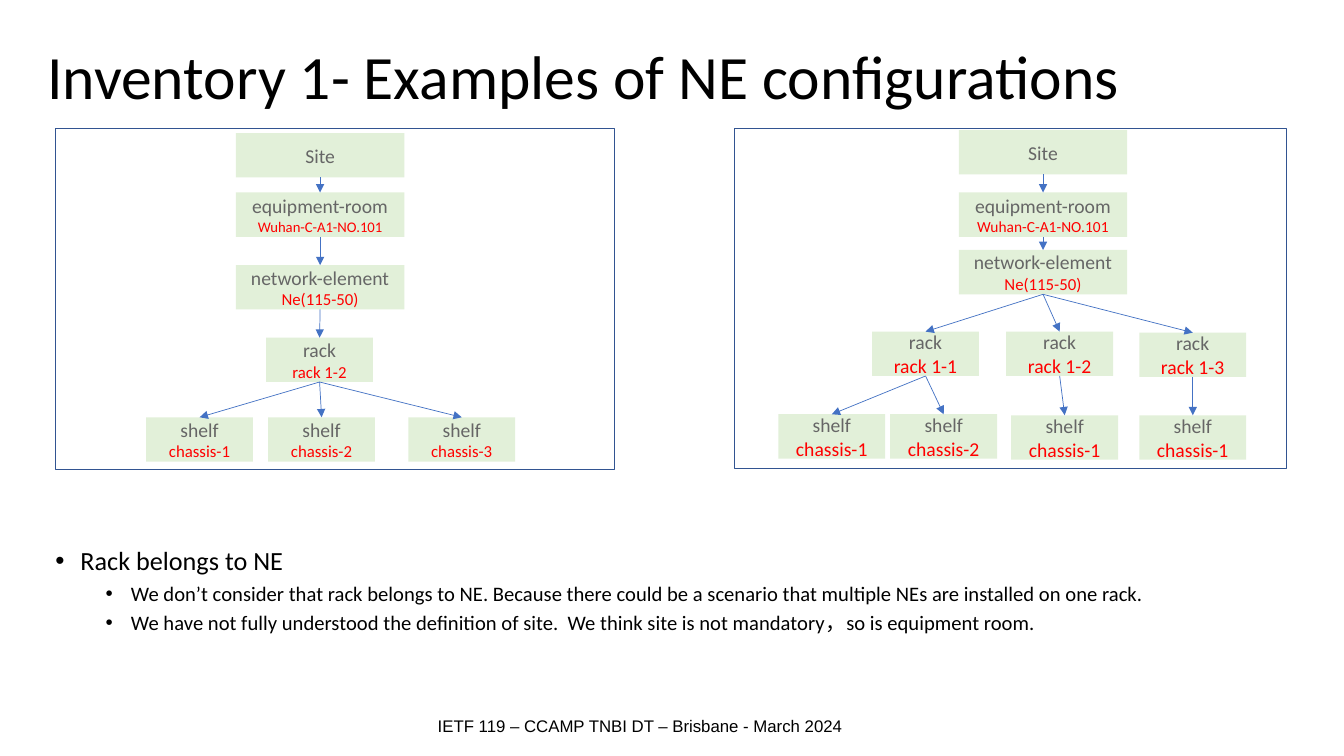
import pptx
import pptx.util
import pptx.dml.color
import pptx.enum.shapes
import pptx.enum.text
import pptx.oxml
import pptx.oxml.ns

Inches = pptx.util.Inches
Pt = pptx.util.Pt
RGBColor = pptx.dml.color.RGBColor
Align = pptx.enum.text.PP_ALIGN
Anchor = pptx.enum.text.MSO_ANCHOR
Rect = pptx.enum.shapes.MSO_SHAPE.RECTANGLE
Straight = pptx.enum.shapes.MSO_CONNECTOR.STRAIGHT

BLACK = RGBColor(0x00, 0x00, 0x00)
GRAY = RGBColor(0x66, 0x66, 0x66)
RED = RGBColor(0xFF, 0x00, 0x00)
GREEN = RGBColor(0xE2, 0xF0, 0xD9)
NAVY = RGBColor(0x32, 0x54, 0x91)
BLUE = RGBColor(0x44, 0x72, 0xC4)

TITLE = "Inventory 1- Examples of NE configurations"
FOOTER = "IETF 119 – CCAMP TNBI DT – Brisbane - March 2024"
BULLETS = [
    (0, "Rack belongs to NE"),
    (1, "We don’t consider that rack belongs to NE. Because there could be a "
        "scenario that multiple NEs are installed on one rack."),
    (1, "We have not fully understood the definition of site.  We think site is "
        "not mandatory，so is equipment room."),
]
LEVELS = {
    0: {"size": 18.7, "before": 10, "left": 0.25},
    1: {"size": 14.7, "before": 5, "left": 0.75},
}
WIDTHS = {"rack": 1.06, "shelf": 1.06}
WIDE, HIGH = 1.67, 0.44

# kind, label, label size, left, top, parent
TREES = [
    ((0.55, 1.27, 5.54, 3.39), [
        ("Site", "", 0, 2.34, 1.32, None),
        ("equipment-room", "Wuhan-C-A1-NO.101", 10.5, 2.34, 1.91, 0),
        ("network-element", "Ne(115-50)", 12, 2.34, 2.63, 1),
        ("rack", "rack 1-2", 12, 2.64, 3.35, 2),
        ("shelf", "chassis-1", 12, 1.45, 4.14, 3),
        ("shelf", "chassis-2", 12, 2.66, 4.14, 3),
        ("shelf", "chassis-3", 12, 4.05, 4.14, 3),
    ]),
    ((7.28, 1.27, 5.48, 3.38), [
        ("Site", "", 0, 9.51, 1.29, None),
        ("equipment-room", "Wuhan-C-A1-NO.101", 11, 9.51, 1.91, 0),
        ("network-element", "Ne(115-50)", 12, 9.51, 2.48, 1),
        ("rack", "rack 1-1", 14, 8.65, 3.29, 2),
        ("rack", "rack 1-2", 14, 9.98, 3.29, 2),
        ("rack", "rack 1-3", 14, 11.3, 3.3, 2),
        ("shelf", "chassis-1", 14, 7.72, 4.11, 3),
        ("shelf", "chassis-2", 14, 8.83, 4.11, 3),
        ("shelf", "chassis-1", 14, 10.03, 4.12, 4),
        ("shelf", "chassis-1", 14, 11.3, 4.12, 5),
    ]),
]

deck = pptx.Presentation()
deck.slide_width, deck.slide_height = Inches(13.33), Inches(7.5)
slide = deck.slides.add_slide(deck.slide_layouts[6])
shapes = slide.shapes


def apply(thing, values):
    for name, value in values.items():
        setattr(thing, name, value)


def write(para, text, size, color, face="Calibri"):
    run = para.add_run()
    run.text = text
    apply(run.font, {"size": Pt(size), "name": face})
    run.font.color.rgb = color


def add_text(box, anchor):
    frame = shapes.add_textbox(*map(Inches, box)).text_frame
    apply(frame, {"word_wrap": True, "vertical_anchor": anchor})
    return frame


def add_rect(box):
    shape = shapes.add_shape(Rect, *map(Inches, box))
    shape.shadow.inherit = False
    return shape


def add_child(node, tag, **values):
    child = pptx.oxml.parse_xml(
        "<a:%s %s/>" % (tag, pptx.oxml.ns.nsdecls("a")))
    for name, value in values.items():
        child.set(name, value)
    node.append(child)


def add_node(kind, label, size, left, top):
    node = add_rect((left, top, WIDTHS.get(kind, WIDE), HIGH))
    node.fill.solid()
    node.fill.fore_color.rgb = GREEN
    node.line.fill.background()
    frame = node.text_frame
    apply(frame, {"word_wrap": True, "vertical_anchor": Anchor.MIDDLE})
    write(frame.paragraphs[0], kind, 14, GRAY)
    if label:
        write(frame.add_paragraph(), label, size, RED)
    for para in frame.paragraphs:
        para.alignment = Align.CENTER
    return node


def add_arrow(start, end):
    arrow = shapes.add_connector(Straight, 0, 0, 0, 0)
    arrow.begin_connect(start, 2)
    arrow.end_connect(end, 0)
    arrow.line.color.rgb = BLUE
    arrow.line.width = Pt(0.5)
    add_child(arrow.line._get_or_add_ln(), "tailEnd", type="triangle")
    add_child(arrow._element.spPr, "effectLst")


for box, nodes in TREES:
    panel = add_rect(box)
    panel.fill.background()
    panel.line.color.rgb = NAVY
    panel.line.width = Pt(0.5)
    drawn = []
    for *node, parent in nodes:
        drawn.append(add_node(*node))
        if parent is not None:
            add_arrow(drawn[parent], drawn[-1])

head = add_text((0.37, 0.3, 12.24, 0.97), Anchor.MIDDLE).paragraphs[0]
head.line_spacing = 0.9
write(head, TITLE, 44, BLACK)

body = add_text((0.45, 5.39, 12.43, 1.98), Anchor.TOP)
for spot, (level, text) in enumerate(BULLETS):
    para = body.add_paragraph() if spot else body.paragraphs[0]
    style = LEVELS[level]
    apply(para, {"level": level, "line_spacing": 0.9,
                 "space_before": Pt(style["before"])})
    props = para._p.get_or_add_pPr()
    props.set("marL", str(Inches(style["left"])))
    props.set("indent", str(Inches(-0.25)))
    add_child(props, "buFont", typeface="Arial")
    add_child(props, "buChar", char="•")
    write(para, text, style["size"], BLACK)

foot = add_text((4.17, 7.05, 4.36, 0.31), Anchor.MIDDLE).paragraphs[0]
foot.alignment = Align.CENTER
write(foot, FOOTER, 12, BLACK, "Arial")

deck.save("out.pptx")
